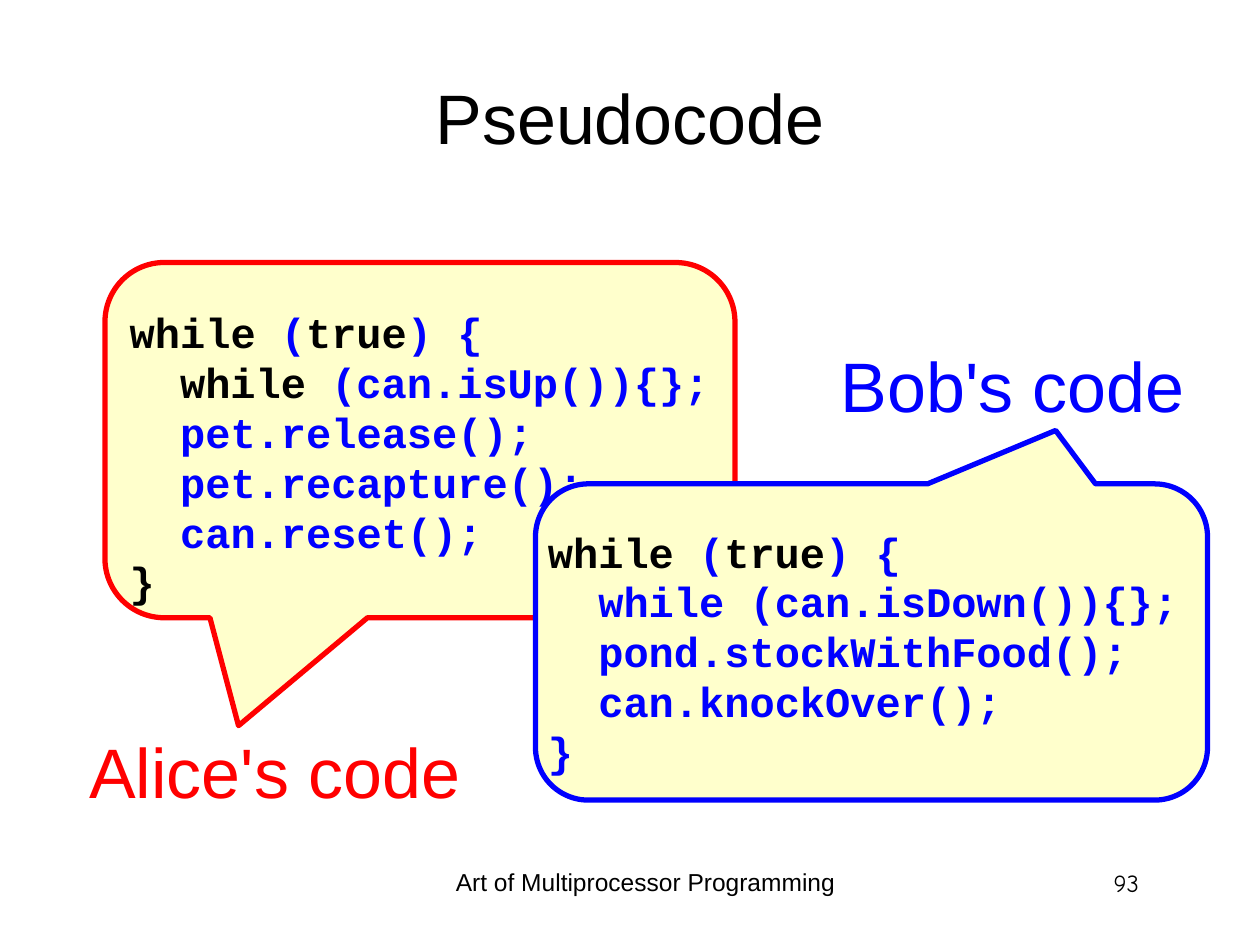
from pptx import Presentation
from pptx.dml.color import RGBColor
from pptx.enum.shapes import MSO_SHAPE
from pptx.enum.text import MSO_ANCHOR, PP_ALIGN
from pptx.util import Pt

CALLOUT = MSO_SHAPE.ROUNDED_RECTANGULAR_CALLOUT
LEFT, CENTER, RIGHT = PP_ALIGN.LEFT, PP_ALIGN.CENTER, PP_ALIGN.RIGHT
TOP, MIDDLE = MSO_ANCHOR.TOP, MSO_ANCHOR.MIDDLE

BLACK = RGBColor(0x00, 0x00, 0x00)
RED = RGBColor(0xFF, 0x00, 0x00)
BLUE = RGBColor(0x00, 0x00, 0xFF)
CREAM = RGBColor(0xFF, 0xFF, 0xCC)

# Code lines as (text, colour) pieces
LOOP_HEAD = [("while", BLACK), (" (", BLUE), ("true", BLACK), (") {", BLUE)]
ALICE_CODE = [
    LOOP_HEAD,
    [("  ", BLUE), ("while", BLACK), (" (can.isUp()){};", BLUE)],
    [("  pet.release();", BLUE)],
    [("  pet.recapture();", BLUE)],
    [("  can.reset();", BLUE)],
    [("}", BLACK)],
]
BOB_CODE = [
    LOOP_HEAD,
    [("  while (can.isDown()){};", BLUE)],
    [("  pond.stockWithFood();", BLUE)],
    [("  can.knockOver();", BLUE)],
    [("}", BLUE)],
]


def add_frame(slide, box, anchor=TOP):
    frame = slide.shapes.add_textbox(*map(Pt, box)).text_frame
    frame.word_wrap = True
    frame.vertical_anchor = anchor
    return frame


def add_line(slide, box, text, size, align, color=BLACK, font="Arial", anchor=TOP):
    line = add_frame(slide, box, anchor).paragraphs[0]
    line.text = text
    line.alignment = align
    line.font.size = Pt(size)
    line.font.name = font
    line.font.color.rgb = color


def add_code(slide, box, code):
    frame = add_frame(slide, box)
    frame.margin_top = Pt(9)
    for index, pieces in enumerate(code):
        line = frame.add_paragraph() if index else frame.paragraphs[0]
        line.alignment = LEFT
        line.line_spacing = 0.7
        if index:
            line.space_before = Pt(8.3)
        line.font.size = Pt(24)
        line.font.name = "Courier New"
        line.font.bold = True
        for text, color in pieces:
            run = line.add_run()
            run.text = text
            run.font.color.rgb = color


def add_speaker(slide, box, color, tip, code, code_box, label, label_box):
    """Callout with code and label; inner boxes are offsets from the callout's corner."""
    left, top = box[:2]

    def placed(inner):
        return (left + inner[0], top + inner[1], *inner[2:])

    # Callout outline
    callout = slide.shapes.add_shape(CALLOUT, *map(Pt, box))
    callout.shadow.inherit = False
    callout.fill.solid()
    callout.fill.fore_color.rgb = CREAM
    callout.line.color.rgb = color
    callout.line.width = Pt(3)
    for index, value in enumerate((*tip, 0.167)):
        callout.adjustments[index] = value

    # Code and its owner
    add_code(slide, placed(code_box), code)
    add_line(slide, placed(label_box), label, 40, RIGHT, color)


def add_footer(slide, box):
    left, top, width, height = box
    add_line(slide, (left, top, 246, height),
             "Art of Multiprocessor Programming", 14, CENTER)
    add_line(slide, (left + width - 150, top + 0.5, 150, height),
             "93", 14, RIGHT, font="Comic Neue")


def main():
    prs = Presentation()
    prs.slide_width, prs.slide_height = Pt(720), Pt(540)
    slide = prs.slides.add_slide(prs.slide_layouts[6])

    add_footer(slide, (246, 492, 412, 37))
    add_line(slide, (36, 21.6, 648, 90), "Pseudocode", 40, CENTER, anchor=MIDDLE)
    add_speaker(slide, (60, 150, 360, 203), RED, (-0.288, 0.804),
                ALICE_CODE, (7, 24.2, 395, 173),
                "Alice's code", (-24, 262.6, 234, 55.4))
    add_speaker(slide, (306, 276.5, 384, 180.7), BLUE, (0.274, -0.669),
                BOB_CODE, (0, 23, 389, 144),
                "Bob's code", (164, -84.3, 214, 55.4))

    prs.save("out.pptx")


if __name__ == "__main__":
    main()
